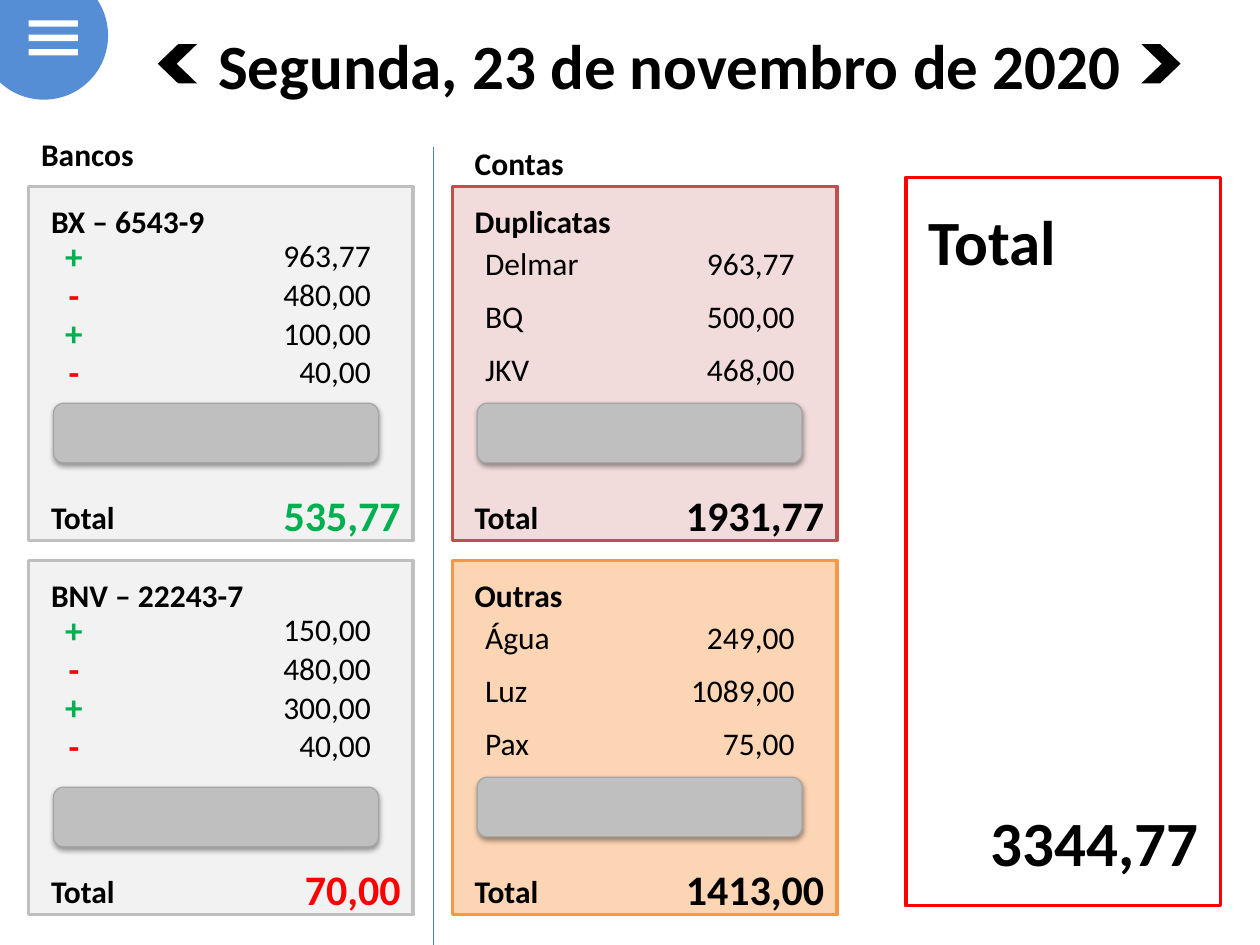
from lxml.etree import SubElement
from pptx import Presentation
from pptx.dml.color import RGBColor
from pptx.enum.shapes import MSO_CONNECTOR, MSO_SHAPE as Preset
from pptx.enum.text import MSO_ANCHOR, MSO_AUTO_SIZE, PP_ALIGN as Align
from pptx.oxml import parse_xml
from pptx.oxml.ns import nsdecls, qn
from pptx.util import Cm, Pt

color = RGBColor.from_string
BLACK, WHITE, GREEN, RED = "000000", "FFFFFF", "00B050", "FF0000"
SIGN_COLORS = {"+": GREEN, "-": RED}


def add_text(shapes, text, left, top, width, size=18, bold=False,
             ink=BLACK, align=Align.LEFT, box=None):
    """Write one line in a new text box, or in the given box."""
    height = size * 0.042 + 0.25
    if box is None:
        box = shapes.add_textbox(Cm(left), Cm(top), Cm(width), Cm(height))
    else:
        box.left, box.top, box.width, box.height = map(Cm, (left, top, width, height))
    frame = box.text_frame
    frame.word_wrap = True
    frame.auto_size = MSO_AUTO_SIZE.NONE
    frame.vertical_anchor = MSO_ANCHOR.TOP
    paragraph = frame.paragraphs[0]
    paragraph.alignment = align
    run = paragraph.add_run()
    run.text = text
    run.font.name = "Calibri"
    run.font.size = Pt(size)
    run.font.bold = bold
    run.font.color.rgb = color(ink)


def add_box(shapes, preset, left, top, width, height, fill=None, line=None, weight=2):
    """Add a preset shape without shadow, with optional fill and outline."""
    shape = shapes.add_shape(preset, Cm(left), Cm(top), Cm(width), Cm(height))
    shape.shadow.inherit = False
    if fill:
        shape.fill.solid()
        shape.fill.fore_color.rgb = color(fill)
    else:
        shape.fill.background()
    if line:
        shape.line.color.rgb = color(line)
        shape.line.width = Pt(weight)
    else:
        shape.line.fill.background()
    return shape


presentation = Presentation()
presentation.slide_width, presentation.slide_height = Cm(25.4), Cm(19.05)
slide = presentation.slides.add_slide(presentation.slide_layouts[5])
shapes = slide.shapes

add_text(shapes, "Segunda, 23 de novembro de 2020", 3.38, 0.41, 20.24, 36, True,
         align=Align.CENTER, box=shapes.title)

divider = shapes.add_connector(MSO_CONNECTOR.STRAIGHT, Cm(8.74), Cm(2.97), Cm(8.74), Cm(19.05))
divider.line.color.rgb = color("4B7EBC")
divider.line.width = Pt(0.75)
SubElement(divider._element.spPr, qn("a:effectLst"))

add_text(shapes, "Bancos", 0.58, 2.59, 7.34, bold=True)
add_text(shapes, "Contas", 9.32, 2.77, 7.34, bold=True)

# Panels: column, row, fill, outline, heading, entries, total, total colour, button offset
BANK_COLUMN, ACCOUNT_COLUMN = 0.58, 9.12
TOP_ROW, BOTTOM_ROW = 3.76, 11.3
panels = [
    (BANK_COLUMN, TOP_ROW, "F2F2F2", "BFBFBF", "BX – 6543-9",
     [("+", "963,77"), ("-", "480,00"), ("+", "100,00"), ("-", "40,00")],
     "535,77", GREEN, 4.37),
    (BANK_COLUMN, BOTTOM_ROW, "F2F2F2", "BFBFBF", "BNV – 22243-7",
     [("+", "150,00"), ("-", "480,00"), ("+", "300,00"), ("-", "40,00")],
     "70,00", RED, 4.57),
    (ACCOUNT_COLUMN, TOP_ROW, "F2DCDB", "C0504D", "Duplicatas",
     [("Delmar", "963,77"), ("BQ", "500,00"), ("JKV", "468,00")],
     "1931,77", BLACK, 4.37),
    (ACCOUNT_COLUMN, BOTTOM_ROW, "FCD5B5", "F79646", "Outras",
     [("Água", "249,00"), ("Luz", "1089,00"), ("Pax", "75,00")],
     "1413,00", BLACK, 4.37),
]
for left, top, fill, line, heading, entries, total, total_color, button_offset in panels:
    panel = shapes.add_group_shape().shapes
    add_box(panel, Preset.RECTANGLE, left, top, 7.75, 7.14, fill, line)
    add_text(panel, heading, left + 0.2, top + 0.18, 7.34, bold=True)
    for index, (label, value) in enumerate(entries):
        if label in SIGN_COLORS:
            row = top + 0.84 + 0.78 * index
            add_text(panel, label, left + 0.41, row, 1, 20, True,
                     SIGN_COLORS[label], Align.CENTER)
            row += 0.04
        else:
            row = top + 1.04 + 1.07 * index
            add_text(panel, label, left + 0.41, row, 3.18)
        add_text(panel, value, left + 3.78, row, 3.37, align=Align.RIGHT)
    button = add_box(panel, Preset.ROUNDED_RECTANGLE, left + 0.5, top + button_offset,
                     6.55, 1.2, "BFBFBF", "A6A6A6", 0.75)
    button._element.spPr.find(qn("a:effectLst")).append(parse_xml(
        f'<a:outerShdw {nsdecls("a")} blurRad="40000" dist="20000" dir="5400000"'
        ' rotWithShape="0"><a:srgbClr val="000000"><a:alpha val="38000"/></a:srgbClr>'
        '</a:outerShdw>'))
    add_text(panel, "Total", left + 0.2, top + 6.15, 3.38, bold=True)
    add_text(panel, total, left + 4.37, top + 5.99, 3.38, 24, True, total_color, Align.RIGHT)

add_box(shapes, Preset.RECTANGLE, 18.26, 3.58, 6.35, 14.68, line=RED)
add_text(shapes, "Total", 18.47, 3.96, 5.77, 36, True)
add_text(shapes, "3344,77", 18.64, 16.08, 5.77, 36, True, align=Align.RIGHT)

for left, rotation in [(3.18, 180), (23.01, 0)]:
    arrow = add_box(shapes, Preset.CHEVRON, left, 0.89, 0.79, 0.79, BLACK)
    arrow.adjustments[0] = 0.52
    arrow.rotation = rotation

add_box(shapes, Preset.OVAL, -0.41, -0.58, 2.59, 2.59, "558ED5")
for index in range(3):
    add_box(shapes, Preset.RECTANGLE, 0.58, 0.41 + 0.29 * index, 0.99, 0.13, WHITE)

presentation.save("out.pptx")
